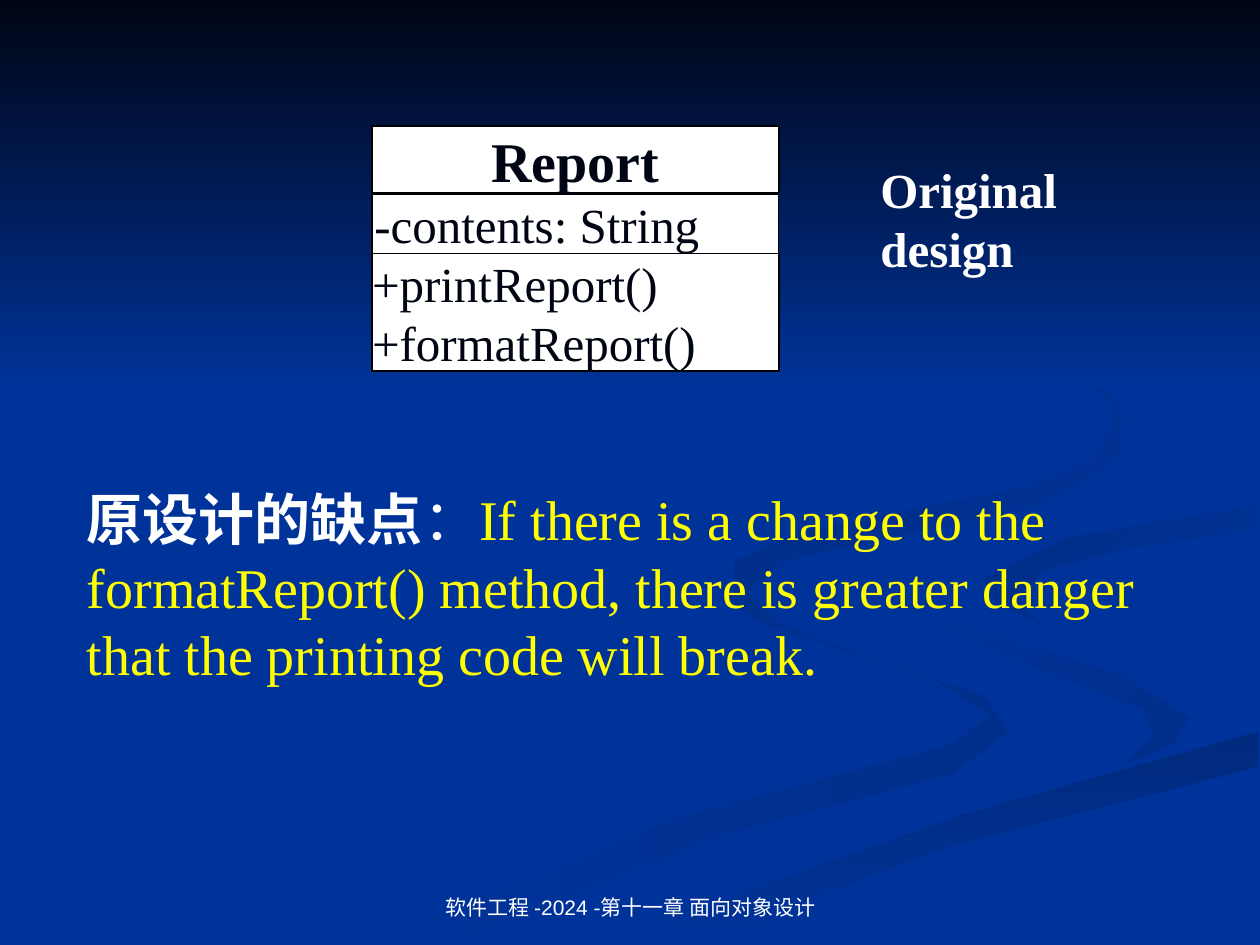
from pptx import Presentation
from pptx import util as u
from pptx.dml import color
from pptx.enum import shapes, text

Pt = u.Pt


def paint(fill, *tones, angle=0):
    if len(tones) == 1:
        fill.solid()
        fill.fore_color.rgb = color.RGBColor.from_string(tones[0])
        return
    fill.gradient()
    fill.gradient_angle = angle
    for stop, tone in zip(fill.gradient_stops, tones):
        stop.color.rgb = color.RGBColor.from_string(tone)


def write(box, paras, font, size, inset, anchor, align, grow):
    frame = box.text_frame
    sides = ("margin_left", "margin_top", "margin_right", "margin_bottom")
    form = dict(zip(sides, map(Pt, inset)), word_wrap=True, vertical_anchor=anchor,
                auto_size=text.MSO_AUTO_SIZE.SHAPE_TO_FIT_TEXT if grow else text.MSO_AUTO_SIZE.NONE)
    for key, val in form.items():
        setattr(frame, key, val)
    for i, runs in enumerate(paras):
        para = frame.add_paragraph() if i else frame.paragraphs[0]
        para.alignment = align
        for words, tone, bold in runs:
            run = para.add_run()
            run.text = words
            for key, val in {"name": font, "size": Pt(size), "bold": bold}.items():
                setattr(run.font, key, val)
            paint(run.font.fill, tone)


deck = Presentation()
deck.slide_width, deck.slide_height = Pt(720), Pt(540)
slide = deck.slides.add_slide(deck.slide_layouts[6])
blue, ink, white, yellow = "003399", "000514", "FFFFFF", "FFFF00"
paint(slide.background.fill, blue)

swirls = [
    ("002E8B", 0, True, [
        (562, 398), (491, 374), (428, 349), (414, 330), (412, 343), (440, 358), (533, 388),
        (566, 408), (546, 425), (388, 467), (216, 539), (260, 539), (406, 479), (544, 442),
        (576, 418)]),
    ("002E8B", 315, True, [
        (679, 410), (639, 385), (536, 353), (521, 334), (537, 360), (603, 386), (653, 405),
        (660, 421), (644, 436), (671, 425)]),
    ("002A7D", 270, False, [
        (362, 539), (411, 539), (467, 511), (541, 484), (719, 438), (719, 418), (550, 466),
        (431, 508)]),
    ("002D86", 315, False, [
        (562, 331), (570, 344), (595, 357), (580, 343), (596, 326), (645, 313), (719, 302),
        (719, 289), (611, 307)]),
    ("002B82", 315, False, [
        (492, 310), (594, 289), (640, 261), (641, 233), (607, 198), (549, 168), (609, 201),
        (639, 236), (626, 263), (589, 278), (459, 304), (420, 321), (420, 345), (448, 360),
        (427, 338), (449, 320)]),
    (ink, 270, False, [(0, 0), (0, 222), (720, 222), (720, 0)]),
]
for tone, angle, flip, dots in swirls:
    pen = slide.shapes.build_freeform(*dots[0], scale=Pt(1))
    pen.add_line_segments(dots[1:], close=True)
    swirl = pen.convert_to_shape()
    swirl.shadow.inherit = False
    swirl.line.fill.background()
    paint(swirl.fill, *((blue, tone) if flip else (tone, blue)), angle=angle)

serif = "Times New Roman"
left, mid = text.PP_ALIGN.LEFT, text.PP_ALIGN.CENTER
top, center, low = text.MSO_ANCHOR.TOP, text.MSO_ANCHOR.MIDDLE, text.MSO_ANCHOR.BOTTOM

parts = [
    (72, 38.4, 1, ["Report"], 32, True, 0, 0, center, mid),
    (144.7, 67.2, 1, ["+printReport()", "+formatReport()"], 28, False, 0, 0, center, left),
    (111.3, 33.6, 0.75, ["-contents: String"], 28, False, 1.4, 7.2, top, left),
]
for y, high, width, lines, size, bold, near, far, anchor, align in parts:
    part = slide.shapes.add_shape(shapes.MSO_SHAPE.RECTANGLE, Pt(212.6), Pt(y), Pt(232.4), Pt(high))
    part.shadow.inherit = False
    paint(part.fill, white)
    paint(part.line.fill, "000000")
    part.line.width = Pt(width)
    write(part, [[(line, ink, bold)] for line in lines], serif, size,
          (near, 0, far, 0), anchor, align, True)

flaw = [
    ("原设计的缺点", white, True),
    ("：", white, False),
    ("If there is a change to the formatReport() method, there is greater danger "
     "that the printing code will break.", yellow, False),
]
notes = [
    ((496, 87.8, 124.6, 74.9), [("Original design", white, True)], serif, 28, top, left, True),
    ((42.5, 273.6, 652.3, 122.4), flaw, serif, 32, top, left, True),
    ((246.2, 491.8, 228.2, 37.4), [("软件工程 -2024 -第十一章 面向对象设计", white, False)],
     "Arial", 12, low, mid, False),
]
for place, runs, font, size, anchor, align, grow in notes:
    note = slide.shapes.add_textbox(*map(Pt, place))
    write(note, [runs], font, size, (7.2, 3.6, 7.2, 3.6), anchor, align, grow)

deck.save("out.pptx")
